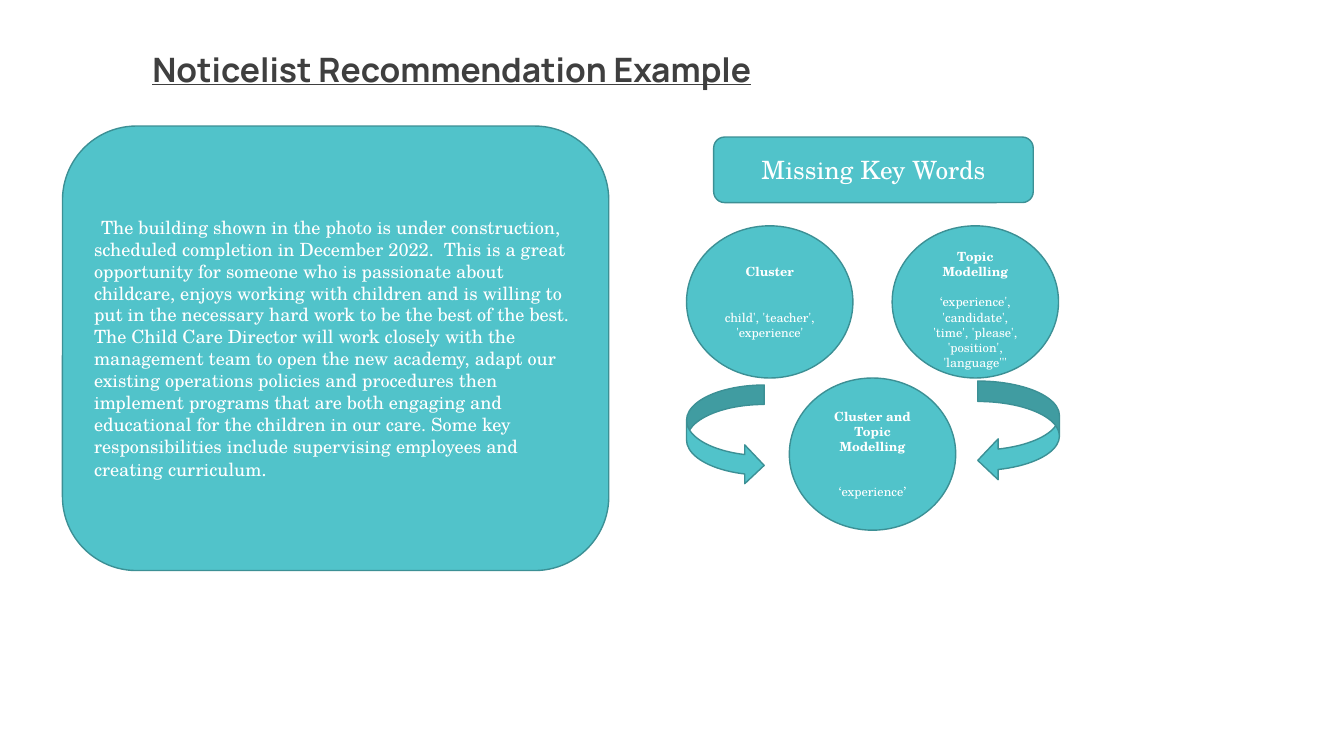
from dataclasses import dataclass

from pptx import Presentation
from pptx.dml.color import RGBColor
from pptx.enum.shapes import MSO_SHAPE
from pptx.enum.text import MSO_ANCHOR, MSO_AUTO_SIZE, PP_ALIGN
from pptx.shapes.autoshape import Shape
from pptx.slide import Slide
from pptx.util import Inches, Pt

SLIDE_W, SLIDE_H = Inches(13.333), Inches(7.5)


@dataclass(frozen=True)
class Theme:
    fill: RGBColor = RGBColor(0x51, 0xC3, 0xCA)
    line: RGBColor = RGBColor(0x3C, 0x90, 0x95)
    light: RGBColor = RGBColor(0xFF, 0xFF, 0xFF)
    title: RGBColor = RGBColor(0x3F, 0x3F, 0x3F)
    title_font: str = "Manrope"
    body_font: str = "TeX Gyre Schola"
    title_size: Pt = Pt(24)
    heading_size: Pt = Pt(18)
    full_stop_size: Pt = Pt(14)
    body_size: Pt = Pt(13)
    circle_size: Pt = Pt(9)
    blank_line: Pt = Pt(10.8)


@dataclass(frozen=True)
class Box:
    """Place and size in percent of the slide's width and height."""
    left: float
    top: float
    width: float
    height: float

    def emu(self) -> tuple[int, int, int, int]:
        return (int(SLIDE_W * self.left / 100), int(SLIDE_H * self.top / 100),
                int(SLIDE_W * self.width / 100), int(SLIDE_H * self.height / 100))


@dataclass(frozen=True)
class Circle:
    """A method and its missing words; gaps are counted in blank lines."""
    column: int
    row: int
    method: str
    words: str
    gap: int = 2
    gap_above: int = 0


THEME = Theme()
CIRCLE_LEFT, CIRCLE_TOP = 51.08, 29.87
CIRCLE_W, CIRCLE_H, COLUMN_STEP = 12.38, 20.13, 7.65

TITLE = "Noticelist Recommendation Example"
TITLE_BOX = Box(10.58, 7.2, 50.03, 5.2)
POSTING_BOX = Box(4.65, 16.67, 40.65, 58.8)
HEADING_BOX = Box(53.1, 18.13, 23.78, 8.67)
POSTING = (
    "The building shown in the photo is under construction, scheduled completion "
    "in December 2022.  This is a great opportunity for someone who is passionate "
    "about childcare, enjoys working with children and is willing to put in the "
    "necessary hard work to be the best of the best. The Child Care Director will "
    "work closely with the management team to open the new academy, adapt our "
    "existing operations policies and procedures then implement programs that are "
    "both engaging and educational for the children in our care. Some key "
    "responsibilities include supervising employees and creating curriculum"
)
CIRCLES = (
    Circle(0, 0, "Cluster", "child', 'teacher', 'experience'"),
    Circle(2, 0, "Topic Modelling",
           "‘experience', 'candidate', 'time', 'please', 'position', 'language'''",
           gap=1, gap_above=1),
    Circle(1, 1, "Cluster and Topic Modelling", "‘experience’"),
)
ARROWS = (
    (MSO_SHAPE.CURVED_RIGHT_ARROW, Box(CIRCLE_LEFT, 50.93, 5.78, 13.2)),
    (MSO_SHAPE.CURVED_LEFT_ARROW, Box(72.75, 50.4, 6.08, 13.2)),
)


def add_panel(s: Slide, kind: MSO_SHAPE, box: Box) -> Shape:
    sp = s.shapes.add_shape(kind, *box.emu())
    sp.shadow.inherit = False
    sp.fill.solid()
    sp.fill.fore_color.rgb = THEME.fill
    sp.line.color.rgb = THEME.line
    sp.line.width = Pt(1)
    sp.text_frame.word_wrap = True
    sp.text_frame.vertical_anchor = MSO_ANCHOR.MIDDLE
    return sp


def write(p, text: str, size: Pt, bold: bool = False,
          align: PP_ALIGN = PP_ALIGN.CENTER) -> None:
    p.text = text
    p.alignment = align
    p.font.name = THEME.body_font
    p.font.size = size
    p.font.bold = bold
    p.font.color.rgb = THEME.light


def add_title(s: Slide) -> None:
    sp = s.shapes.title
    sp.left, sp.top, sp.width, sp.height = TITLE_BOX.emu()
    tf = sp.text_frame
    tf.word_wrap = True
    tf.auto_size = MSO_AUTO_SIZE.SHAPE_TO_FIT_TEXT
    tf.vertical_anchor = MSO_ANCHOR.TOP
    p = tf.paragraphs[0]
    p.text = TITLE
    p.alignment = PP_ALIGN.LEFT
    p.line_spacing = 0.7
    p.font.name = THEME.title_font
    p.font.size = THEME.title_size
    p.font.bold = p.font.underline = True
    p.font.color.rgb = THEME.title


def add_posting(s: Slide) -> None:
    p = add_panel(s, MSO_SHAPE.ROUNDED_RECTANGLE, POSTING_BOX).text_frame.paragraphs[0]
    write(p, POSTING, THEME.body_size, align=PP_ALIGN.LEFT)
    p._p.get_or_add_pPr().set("indent", str(Inches(0.07)))
    r = p.add_run()
    r.text = "."
    r.font.size = THEME.full_stop_size


def add_circle(s: Slide, circle: Circle) -> None:
    box = Box(CIRCLE_LEFT + circle.column * COLUMN_STEP,
              CIRCLE_TOP + circle.row * CIRCLE_H, CIRCLE_W, CIRCLE_H)
    tf = add_panel(s, MSO_SHAPE.OVAL, box).text_frame
    tf.margin_top += circle.gap_above * THEME.blank_line
    write(tf.paragraphs[0], circle.method, THEME.circle_size, bold=True)
    words = tf.add_paragraph()
    write(words, circle.words, THEME.circle_size)
    words.space_before = Pt(circle.gap * THEME.blank_line.pt)


def main() -> None:
    prs = Presentation()
    prs.slide_width, prs.slide_height = SLIDE_W, SLIDE_H
    s = prs.slides.add_slide(prs.slide_layouts[5])
    add_title(s)
    add_posting(s)
    for circle in CIRCLES:
        add_circle(s, circle)
    heading = add_panel(s, MSO_SHAPE.ROUNDED_RECTANGLE, HEADING_BOX)
    write(heading.text_frame.paragraphs[0], "Missing Key Words", THEME.heading_size)
    for kind, box in ARROWS:
        add_panel(s, kind, box)
    prs.save("out.pptx")


if __name__ == "__main__":
    main()
